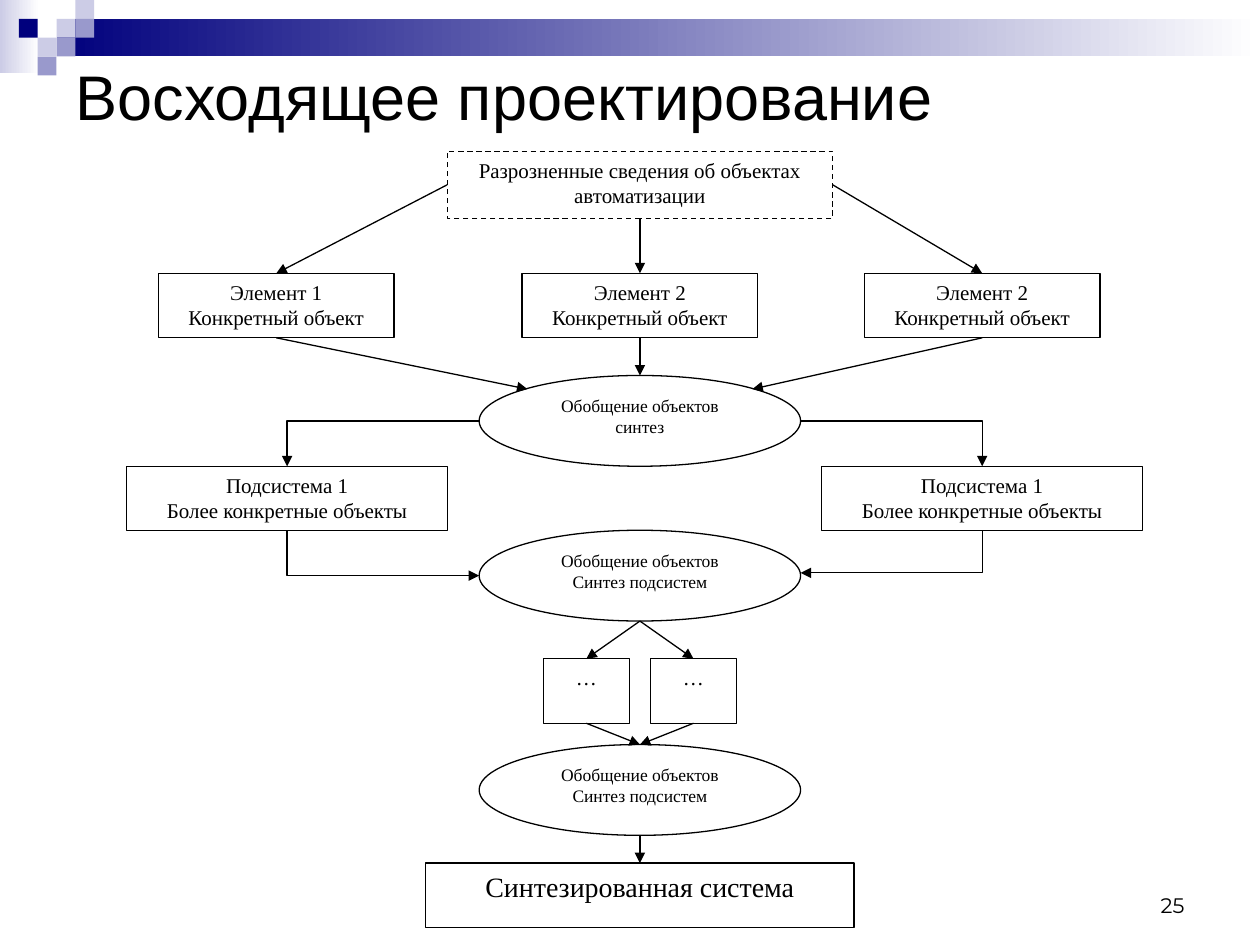
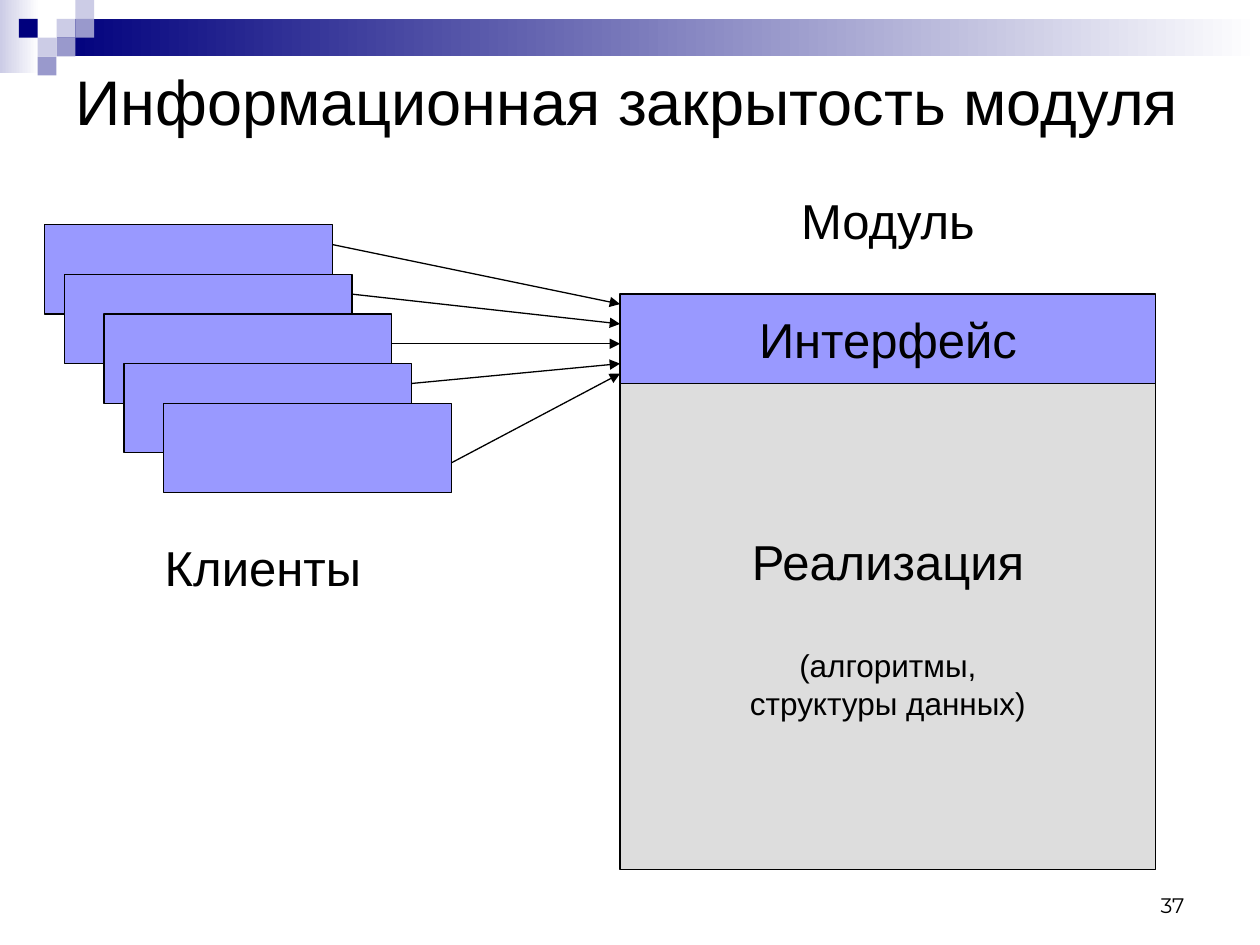
from dataclasses import dataclass

from lxml import etree
from pptx import Presentation
from pptx.dml.color import RGBColor
from pptx.enum.dml import MSO_LINE
from pptx.enum.shapes import MSO_CONNECTOR, MSO_SHAPE
from pptx.enum.text import MSO_ANCHOR, MSO_AUTO_SIZE, PP_ALIGN
from pptx.oxml.ns import qn
from pptx.util import Cm, Pt

RECT, ELLIPSE = MSO_SHAPE.RECTANGLE, MSO_SHAPE.OVAL
STRAIGHT, ELBOW = MSO_CONNECTOR.STRAIGHT, MSO_CONNECTOR.ELBOW
LEFT, CENTER, RIGHT = PP_ALIGN.LEFT, PP_ALIGN.CENTER, PP_ALIGN.RIGHT
TOP, MIDDLE, BOTTOM = MSO_ANCHOR.TOP, MSO_ANCHOR.MIDDLE, MSO_ANCHOR.BOTTOM
NO_FIT = MSO_AUTO_SIZE.NONE
DASH = MSO_LINE.DASH


@dataclass(frozen=True)
class Theme:
    ink: str = "000000"
    paper: str = "FFFFFF"
    navy: str = "00007D"
    violet: str = "9999CC"
    lavender: str = "CCCCE6"
    block: str = "9999FF"
    grey: str = "DDDDDD"
    sans: str = "Arial"
    serif: str = "Times New Roman"
    number_font: str = "Montserrat"
    title: int = 36
    label: int = 28
    note: int = 18
    result: int = 16
    node: int = 12
    synthesis: int = 10
    line: float = 0.75


T = Theme()
MID = 12.9          # axis of the flow chart, cm
LEFT_AXIS, RIGHT_AXIS = 5.79, 19.8

# Positions on each element: fractions of its width and height
AT_TOP, AT_BOTTOM, AT_LEFT, AT_RIGHT = (0.5, 0), (0.5, 1), (0, 0.5), (1, 0.5)
AT_TOP_LEFT, AT_TOP_RIGHT = (0.15, 0.15), (0.85, 0.15)


def rgb(color):
    return RGBColor.from_string(color)


def add_block(shapes, x, y, w, h, fill, outline=True, kind=RECT):
    s = shapes.add_shape(kind, Cm(x), Cm(y), Cm(w), Cm(h))
    s.shadow.inherit = False
    s.fill.solid()
    s.fill.fore_color.rgb = rgb(fill)
    if outline:
        s.line.color.rgb = rgb(T.ink)
        s.line.width = Pt(T.line)
    else:
        s.line.fill.background()
    return s


def set_text(s, lines, size, font, align=CENTER, anchor=MIDDLE, wrap=True):
    tf = s.text_frame
    tf.word_wrap = wrap
    tf.auto_size = NO_FIT
    tf.vertical_anchor = anchor
    tf.text = lines
    for p in tf.paragraphs:
        p.alignment = align
        p.font.name = font
        p.font.size = Pt(size)
        p.font.color.rgb = rgb(T.ink)
    return tf


def add_label(slide, x, y, w, h, text, size=T.label, font=T.sans, **style):
    s = slide.shapes.add_textbox(Cm(x), Cm(y), Cm(w), Cm(h))
    set_text(s, text, size, font, **style)


def add_node(slide, cx, y, w, h, text, size=T.node, kind=RECT):
    """Add a flow chart node centred on cx."""
    s = add_block(slide.shapes, cx - w / 2, y, w, h, T.paper, kind=kind)
    set_text(s, text, size, T.serif, anchor=TOP)
    return s


def add_synthesis(slide, y, text):
    return add_node(slide, MID, y, 6.48, 1.83, text, T.synthesis, ELLIPSE)


def point_on(s, at):
    return round(s.left + s.width * at[0]), round(s.top + s.height * at[1])


def add_arrow(slide, start, end, kind=STRAIGHT, arrow_end="tailEnd"):
    """Join two points; an elbow runs horizontally first, then vertically."""
    c = slide.shapes.add_connector(kind, *start, *end)
    c.line.color.rgb = rgb(T.ink)
    c.line.width = Pt(T.line)
    sp_pr = c.element.spPr
    if kind == ELBOW:
        sp_pr.find(qn("a:prstGeom")).set("prst", "bentConnector2")
    etree.SubElement(sp_pr.find(qn("a:ln")), qn("a:" + arrow_end), type="triangle")
    etree.SubElement(sp_pr, qn("a:effectLst"))


def link(slide, a, at_a, b, at_b, **style):
    add_arrow(slide, point_on(a, at_a), point_on(b, at_b), **style)


def add_band(slide, layout):
    """Draw the top band and move it to the layout, which all slides share."""
    band = []
    for x, y, w, h, color in ((0, 0, 0.79, 1.47, T.lavender),
                              (1.14, 0.38, 24.26, 0.76, T.navy)):
        s = add_block(slide.shapes, x, y, w, h, color, outline=False)
        s.fill.gradient()
        s.fill.gradient_angle = 0
        for stop, shade in zip(s.fill.gradient_stops, (color, T.paper)):
            stop.color.rgb = rgb(shade)
        band.append(s)
    side = 0.38
    for col, row, color in ((3, 1, T.lavender), (4, 0, T.lavender),
                            (4, 1, T.violet), (2, 2, T.lavender),
                            (1, 1, T.navy), (3, 2, T.violet),
                            (2, 3, T.violet)):
        band.append(add_block(slide.shapes, col * side, row * side,
                              side, side, color, outline=False))
    for s in band:
        layout.shapes.element.append(s.element)


def add_slide(prs, layout, title, title_height, number):
    slide = prs.slides.add_slide(layout)
    s = slide.shapes.title
    s.left, s.top, s.width, s.height = Cm(1.27), Cm(0.91), Cm(23.62), Cm(title_height)
    set_text(s, title, T.title, T.sans, align=LEFT)
    add_label(slide, 18.21, 17.35, 5.92, 1.27, str(number), T.node,
              T.number_font, align=RIGHT, anchor=BOTTOM)
    return slide


def draw_bottom_up_design(slide):
    source = add_node(slide, MID, 3.05, 7.77, 1.35,
                      "Разрозненные сведения об объектах автоматизации")
    source.line.dash_style = DASH
    elements = [add_node(slide, cx, 5.51, 4.75, 1.3, f"Элемент {n}\nКонкретный объект")
                for cx, n in ((5.57, 1), (MID, 2), (RIGHT_AXIS, 2))]
    objects = add_synthesis(slide, 7.57, "Обобщение объектов\nсинтез")
    subsystems = [add_node(slide, cx, 9.4, 6.48, 1.3,
                           "Подсистема 1\nБолее конкретные объекты")
                  for cx in (LEFT_AXIS, RIGHT_AXIS)]
    merged, final = [add_synthesis(slide, y, "Обобщение объектов\nСинтез подсистем")
                     for y in (10.69, 15.01)]
    others = [add_node(slide, MID + dx, 13.28, 1.73, 1.3, "…") for dx in (-1.08, 1.08)]
    system = add_node(slide, MID, 17.4, 8.64, 1.3, "Синтезированная система", T.result)

    for element, at_source, at_objects in zip(
            elements, (AT_LEFT, AT_BOTTOM, AT_RIGHT),
            (AT_TOP_LEFT, AT_TOP, AT_TOP_RIGHT)):
        link(slide, source, at_source, element, AT_TOP)
        link(slide, element, AT_BOTTOM, objects, at_objects)
    for subsystem, side, entry in zip(subsystems, (AT_LEFT, AT_RIGHT),
                                      (AT_LEFT, (1, 0.47))):
        link(slide, objects, side, subsystem, AT_TOP, kind=ELBOW)
        link(slide, merged, entry, subsystem, AT_BOTTOM, kind=ELBOW,
             arrow_end="headEnd")
    for other in others:
        link(slide, merged, AT_BOTTOM, other, AT_TOP)
        link(slide, other, AT_BOTTOM, final, AT_TOP)
    link(slide, final, AT_BOTTOM, system, AT_TOP)


def draw_module(slide):
    x, y, w, h = 12.5, 5.93, 10.8, 1.8
    body = add_block(slide.shapes, x, y + h, w, 9.8, T.grey)
    tf = set_text(body, "Реализация\n(алгоритмы,\nструктуры данных)",
                  T.label, T.sans, wrap=False)
    for p in tf.paragraphs[1:]:
        p.font.size = Pt(T.note)
    tf.paragraphs[1].space_before = Pt(32)
    interface = add_block(slide.shapes, x, y, w, h, T.block)
    set_text(interface, "Интерфейс", T.label, T.sans, wrap=False)
    add_label(slide, 15.9, 3.73, 4, 1.4, "Модуль", wrap=False)

    clients = []
    for i in range(5):
        pair, second = divmod(i, 2)
        clients.append(add_block(slide.shapes, 0.9 + 1.2 * pair + 0.4 * second,
                                 4.53 + 1.8 * pair + second, 5.8, h, T.block))
    exits = (0.4, 0.4, 0.6, 0.4, 1.2)
    entries = (0.2, 0.6, 1, 1.4, 1.6)
    for client, leave, enter in zip(clients, exits, entries):
        link(slide, client, (1, leave / h), interface, (0, enter / h))
    add_label(slide, 3.1, 10.72, 4.4, 1.4, "Клиенты", wrap=False)


def main():
    prs = Presentation()
    prs.slide_width, prs.slide_height = Cm(25.4), Cm(19.05)
    layout = prs.slide_layouts[5]
    design = add_slide(prs, layout, "Восходящее проектирование", 2.01, 25)
    add_band(design, layout)
    draw_bottom_up_design(design)
    module = add_slide(prs, layout, "Информационная закрытость модуля", 2.21, 37)
    draw_module(module)
    prs.save("out.pptx")


if __name__ == "__main__":
    main()
